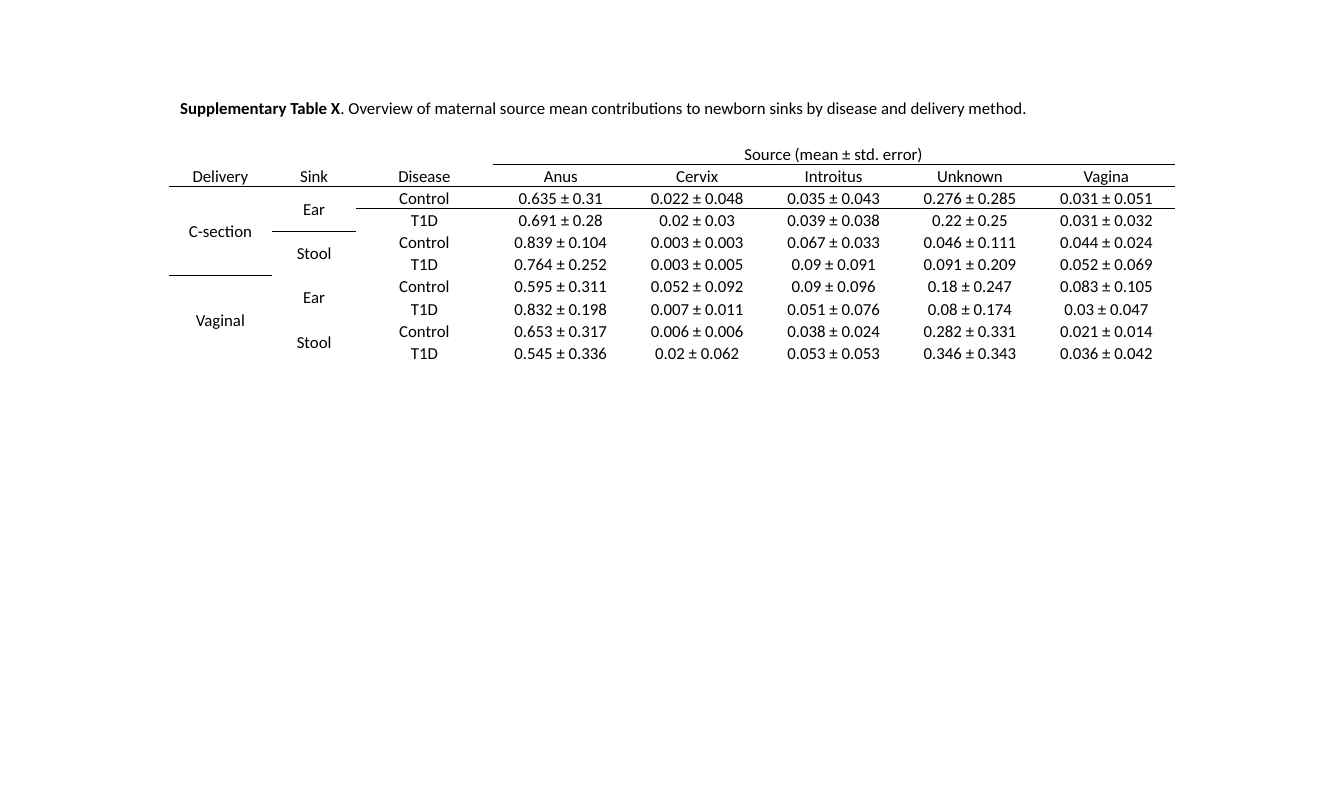
from dataclasses import dataclass

from lxml import etree
from pptx import Presentation
from pptx.dml.color import RGBColor
from pptx.enum.text import MSO_ANCHOR, MSO_AUTO_SIZE, PP_ALIGN
from pptx.oxml.ns import qn
from pptx.slide import Slide
from pptx.table import Table, _Cell
from pptx.text.text import _Paragraph
from pptx.util import Pt

EMU_PER_PX = 9144
TITLE_ONLY = 5
LEFT, CENTER = PP_ALIGN.LEFT, PP_ALIGN.CENTER
MIDDLE, BOTTOM = MSO_ANCHOR.MIDDLE, MSO_ANCHOR.BOTTOM
GROW = MSO_AUTO_SIZE.SHAPE_TO_FIT_TEXT

COLORS = {"ink": "000000"}
FONT = "Calibri"
FONT_SIZE = 18
LINE_SPACING = 1.07
RULE_WEIGHT = 1
PLAIN_STYLE = "{2D5ABB26-0587-4C30-8999-92F81FD0307C}"

SPANNER = "Source (mean ± std. error)"
HEADINGS = ("Delivery", "Sink", "Disease", "Anus", "Cervix", "Introitus", "Unknown", "Vagina")
FIRST_SOURCE = 3
COLUMN_WIDTHS = (154, 125) + (203,) * 6
ROW_HEIGHT = 33
HEADER_ROWS = 2


@dataclass(frozen=True)
class Contribution:
    disease: str
    means: tuple[str, ...]


@dataclass(frozen=True)
class Group:
    label: str
    column: int
    first: int
    rows: int


CONTRIBUTIONS = (
    Contribution("Control", ("0.635 ± 0.31", "0.022 ± 0.048", "0.035 ± 0.043", "0.276 ± 0.285", "0.031 ± 0.051")),
    Contribution("T1D", ("0.691 ± 0.28", "0.02 ± 0.03", "0.039 ± 0.038", "0.22 ± 0.25", "0.031 ± 0.032")),
    Contribution("Control", ("0.839 ± 0.104", "0.003 ± 0.003", "0.067 ± 0.033", "0.046 ± 0.111", "0.044 ± 0.024")),
    Contribution("T1D", ("0.764 ± 0.252", "0.003 ± 0.005", "0.09 ± 0.091", "0.091 ± 0.209", "0.052 ± 0.069")),
    Contribution("Control", ("0.595 ± 0.311", "0.052 ± 0.092", "0.09 ± 0.096", "0.18 ± 0.247", "0.083 ± 0.105")),
    Contribution("T1D", ("0.832 ± 0.198", "0.007 ± 0.011", "0.051 ± 0.076", "0.08 ± 0.174", "0.03 ± 0.047")),
    Contribution("Control", ("0.653 ± 0.317", "0.006 ± 0.006", "0.038 ± 0.024", "0.282 ± 0.331", "0.021 ± 0.014")),
    Contribution("T1D", ("0.545 ± 0.336", "0.02 ± 0.062", "0.053 ± 0.053", "0.346 ± 0.343", "0.036 ± 0.042")),
)

GROUPS = tuple(
    Group(label, 0, HEADER_ROWS + 4 * i, 4) for i, label in enumerate(("C-section", "Vaginal"))
) + tuple(
    Group(label, 1, HEADER_ROWS + 2 * i, 2) for i, label in enumerate(("Ear", "Stool") * 2)
)


def px(length: int) -> int:
    return length * EMU_PER_PX


def add_run(paragraph: _Paragraph, text: str, bold: bool = False) -> None:
    run = paragraph.add_run()
    run.text = text
    run.font.name = FONT
    run.font.size = Pt(FONT_SIZE)
    run.font.bold = bold
    run.font.color.rgb = RGBColor.from_string(COLORS["ink"])


def write_cell(cell: _Cell, text: str) -> None:
    paragraph = cell.text_frame.paragraphs[0]
    paragraph.alignment = CENTER
    paragraph.line_spacing = LINE_SPACING
    add_run(paragraph, text)


def rule_cell(cell: _Cell, *edges: str) -> None:
    properties = cell._tc.get_or_add_tcPr()
    for position, edge in enumerate(edges):
        line = etree.Element(qn(f"a:{edge}"), w=str(Pt(RULE_WEIGHT)))
        fill = etree.SubElement(line, qn("a:solidFill"))
        etree.SubElement(fill, qn("a:srgbClr"), val=COLORS["ink"])
        properties.insert(position, line)


def add_title(slide: Slide) -> None:
    title = slide.shapes.title
    title.left, title.top, title.width, title.height = px(258), px(139), px(1484), px(41)
    frame = title.text_frame
    frame.word_wrap = True
    frame.auto_size = GROW
    frame.vertical_anchor = MSO_ANCHOR.TOP
    paragraph = frame.paragraphs[0]
    paragraph.alignment = LEFT
    paragraph.line_spacing = LINE_SPACING
    paragraph.space_after = Pt(8)
    add_run(paragraph, "Supplementary Table X", bold=True)
    add_run(
        paragraph,
        ". Overview of maternal source mean contributions to newborn sinks by disease and delivery method.",
    )


def add_grid(slide: Slide) -> Table:
    rows = HEADER_ROWS + len(CONTRIBUTIONS)
    frame = slide.shapes.add_table(
        rows, len(HEADINGS), px(251), px(212), px(sum(COLUMN_WIDTHS)), px(rows * ROW_HEIGHT)
    )
    table = frame.table
    table.first_row = table.horz_banding = False
    table._tbl.tblPr.find(qn("a:tableStyleId")).text = PLAIN_STYLE
    for column, width in zip(table.columns, COLUMN_WIDTHS):
        column.width = px(width)
    for row in table.rows:
        row.height = px(ROW_HEIGHT)
    for cell in table.iter_cells():
        cell.margin_left = cell.margin_right = px(7)
        cell.margin_top = cell.margin_bottom = 0
        cell.vertical_anchor = MIDDLE
        cell.fill.background()
    return table


def fill_grid(table: Table) -> None:
    last = len(HEADINGS) - 1
    spanner = table.cell(0, FIRST_SOURCE)
    spanner.merge(table.cell(0, last))
    spanner.vertical_anchor = BOTTOM
    write_cell(spanner, SPANNER)
    for column, heading in enumerate(HEADINGS):
        write_cell(table.cell(1, column), heading)
        if column >= FIRST_SOURCE:
            rule_cell(table.cell(0, column), "lnB")
            rule_cell(table.cell(1, column), "lnT", "lnB")
        else:
            rule_cell(table.cell(1, column), "lnB")
        rule_cell(table.cell(HEADER_ROWS, column), "lnT")
    table.cell(1, 0).vertical_anchor = BOTTOM

    for group in GROUPS:
        cell = table.cell(group.first, group.column)
        cell.merge(table.cell(group.first + group.rows - 1, group.column))
        write_cell(cell, group.label)
    for row, contribution in enumerate(CONTRIBUTIONS, HEADER_ROWS):
        values = (contribution.disease, *contribution.means)
        for column, value in enumerate(values, FIRST_SOURCE - 1):
            write_cell(table.cell(row, column), value)


def main() -> None:
    presentation = Presentation()
    presentation.slide_width, presentation.slide_height = px(2000), px(1200)
    slide = presentation.slides.add_slide(presentation.slide_layouts[TITLE_ONLY])
    add_title(slide)
    fill_grid(add_grid(slide))
    presentation.save("out.pptx")


if __name__ == "__main__":
    main()
